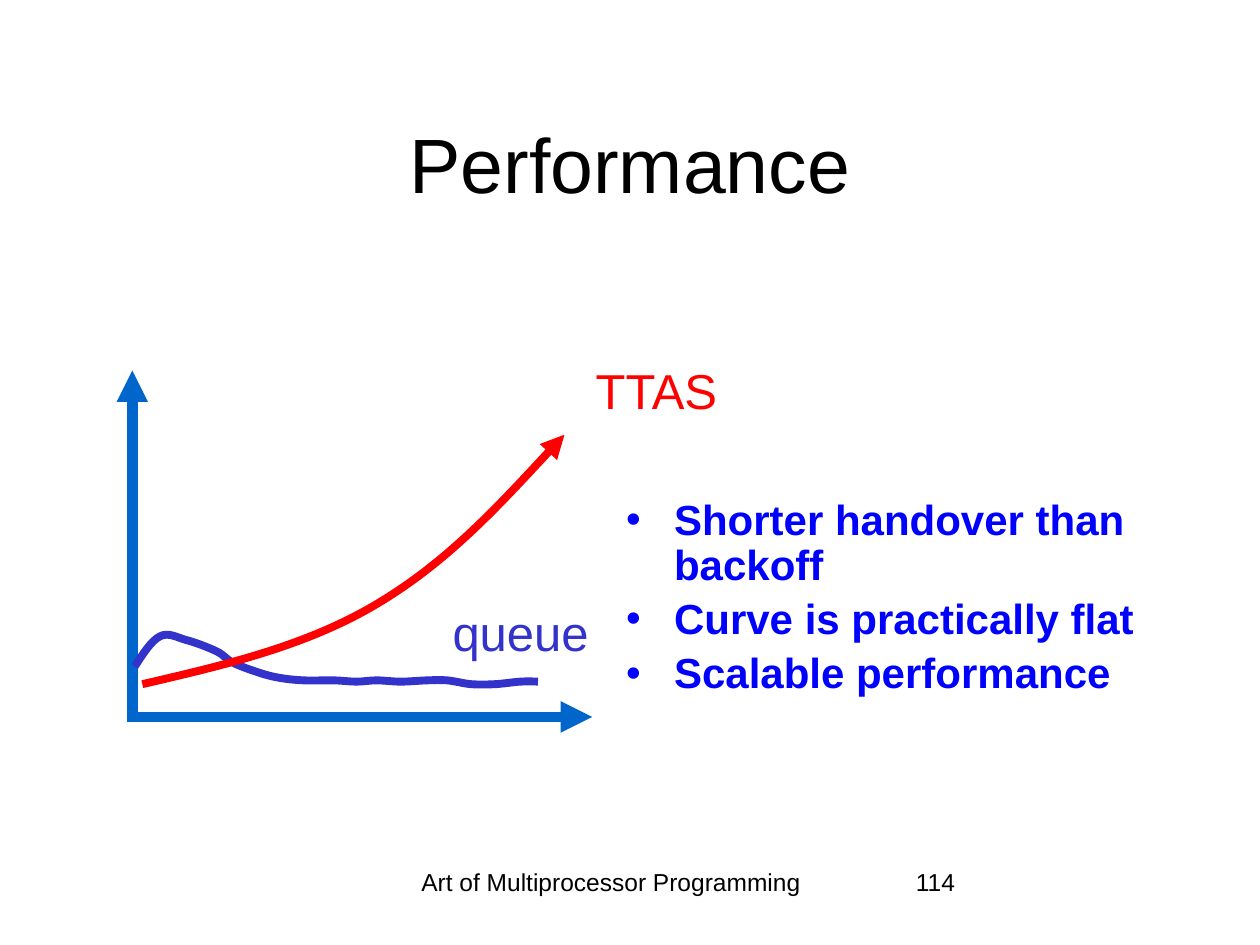
from lxml.etree import SubElement
from pptx import Presentation
from pptx.dml.color import RGBColor
from pptx.enum.shapes import MSO_CONNECTOR
from pptx.enum.text import MSO_ANCHOR, MSO_AUTO_SIZE, PP_ALIGN
from pptx.oxml.ns import qn
from pptx.util import Inches, Pt

COLORS = {"text": "000000", "axis": "0066CC", "queue": "3333CC",
          "ttas": "FF0000", "points": "0000FF"}
TITLE = "Performance"
POINTS = ["Shorter handover than backoff", "Curve is practically flat",
          "Scalable performance"]
FOOTERS = [
    ("Art of Multiprocessor Programming", (2.89, 6.83, 3.92, 0.5), PP_ALIGN.CENTER),
    ("114", (7.17, 6.83, 2.08, 0.5), PP_ALIGN.LEFT),
]
LABELS = [("queue", (3.47, 4.73, 1.3, 0.57)), ("TTAS", (4.61, 2.81, 1.18, 0.57))]
AXES = [((1.05, 5.73), (1.05, 2.94)), ((1.05, 5.69), (4.7, 5.69))]
CURVES = [
    ("queue", False, [
        (1.07, 5.29), (1.27, 5.05), (1.48, 5.08), (1.72, 5.17), (1.85, 5.26),
        (2.06, 5.34), (2.22, 5.38), (2.41, 5.4), (2.65, 5.4), (2.83, 5.41),
        (2.99, 5.4), (3.18, 5.41), (3.39, 5.4), (3.55, 5.4), (3.74, 5.43),
        (3.93, 5.43), (4.13, 5.41), (4.27, 5.41)]),
    ("ttas", True, [(1.13, 5.43), (2.98, 4.8), (4.48, 3.45)]),
]


def color(name):
    return RGBColor.from_string(COLORS[name])


def style_text(para, size, name, bold=False):
    font = para.font
    font.name, font.size, font.bold = "Arial", Pt(size), bold
    font.color.rgb = color(name)


def place(shape, area):
    shape.left, shape.top, shape.width, shape.height = map(Inches, area)


def style_line(shape, name, width, arrow):
    shape.line.color.rgb = color(name)
    shape.line.width = Pt(width)
    properties = shape._element.spPr
    if arrow:
        SubElement(properties.find(qn("a:ln")), qn("a:tailEnd"), type="triangle")
    SubElement(properties, qn("a:effectLst"))


def add_text(text, area, size, name, alignment, wrap):
    box = page.shapes.add_textbox(*map(Inches, area))
    box.text_frame.word_wrap = wrap
    box.text_frame.text = text
    para = box.text_frame.paragraphs[0]
    para.alignment = alignment
    style_text(para, size, name)
    return box


def midpoint(a, b):
    return tuple((p + q) / 2 for p, q in zip(a, b))


def controls(knots, index):
    start, end = knots[index], knots[index + 1]
    leave = arrive = None
    if index > 0:
        leave = tuple(p + (r - q) / 6 for p, q, r in zip(start, knots[index - 1], end))
    if index + 2 < len(knots):
        arrive = tuple(p - (r - q) / 6 for p, q, r in zip(end, start, knots[index + 2]))
    return leave or midpoint(start, arrive), arrive or midpoint(end, leave)


def add_curve(knots):
    first, *rest = [tuple(map(Inches, knot)) for knot in knots]
    builder = page.shapes.build_freeform(*first)
    builder.add_line_segments(rest, close=False)
    curve = builder.convert_to_shape()
    for index, segment in enumerate(list(curve._element.iter(qn("a:lnTo")))):
        segment.tag = qn("a:cubicBezTo")
        for position, (x, y) in enumerate(controls(knots, index)):
            SubElement(segment, qn("a:pt"), x=str(Inches(x) - curve.left),
                       y=str(Inches(y) - curve.top))
            segment.insert(position, segment[-1])
    curve.fill.background()
    return curve


deck = Presentation()
deck.slide_width, deck.slide_height = Inches(10), Inches(7.5)
page = deck.slides.add_slide(deck.slide_layouts[1])

title = page.shapes.title
place(title, (0.75, 0.67, 8.5, 1.25))
title.text_frame.text = TITLE
title.text_frame.vertical_anchor = MSO_ANCHOR.MIDDLE
title.text_frame.auto_size = MSO_AUTO_SIZE.NONE
title.text_frame.paragraphs[0].alignment = PP_ALIGN.CENTER
style_text(title.text_frame.paragraphs[0], 44, "text")

body = page.placeholders[1]
place(body, (4.87, 3.91, 4.96, 1.8))
body.text_frame.text = "\n".join(POINTS)
body.text_frame.auto_size = MSO_AUTO_SIZE.NONE
for index, para in enumerate(body.text_frame.paragraphs):
    para.line_spacing = 0.9
    para.space_before = Pt(5 if index else 0)
    properties = para._p.get_or_add_pPr()
    properties.set("marL", str(Inches(0.38)))
    properties.set("indent", str(Inches(-0.38)))
    SubElement(properties, qn("a:buChar"), char="•")
    style_text(para, 24, "points", True)

for text, area, alignment in FOOTERS:
    add_text(text, area, 14, "text", alignment, True)

for start, end in AXES:
    axis = page.shapes.add_connector(MSO_CONNECTOR.STRAIGHT, *map(Inches, start + end))
    style_line(axis, "axis", 6, True)

for name, arrow, knots in CURVES:
    style_line(add_curve(knots), name, 4.5, arrow)

for text, area in LABELS:
    label = add_text(text, area, 28, text.lower(), PP_ALIGN.RIGHT, False)
    label.text_frame.auto_size = MSO_AUTO_SIZE.SHAPE_TO_FIT_TEXT

deck.save("out.pptx")
